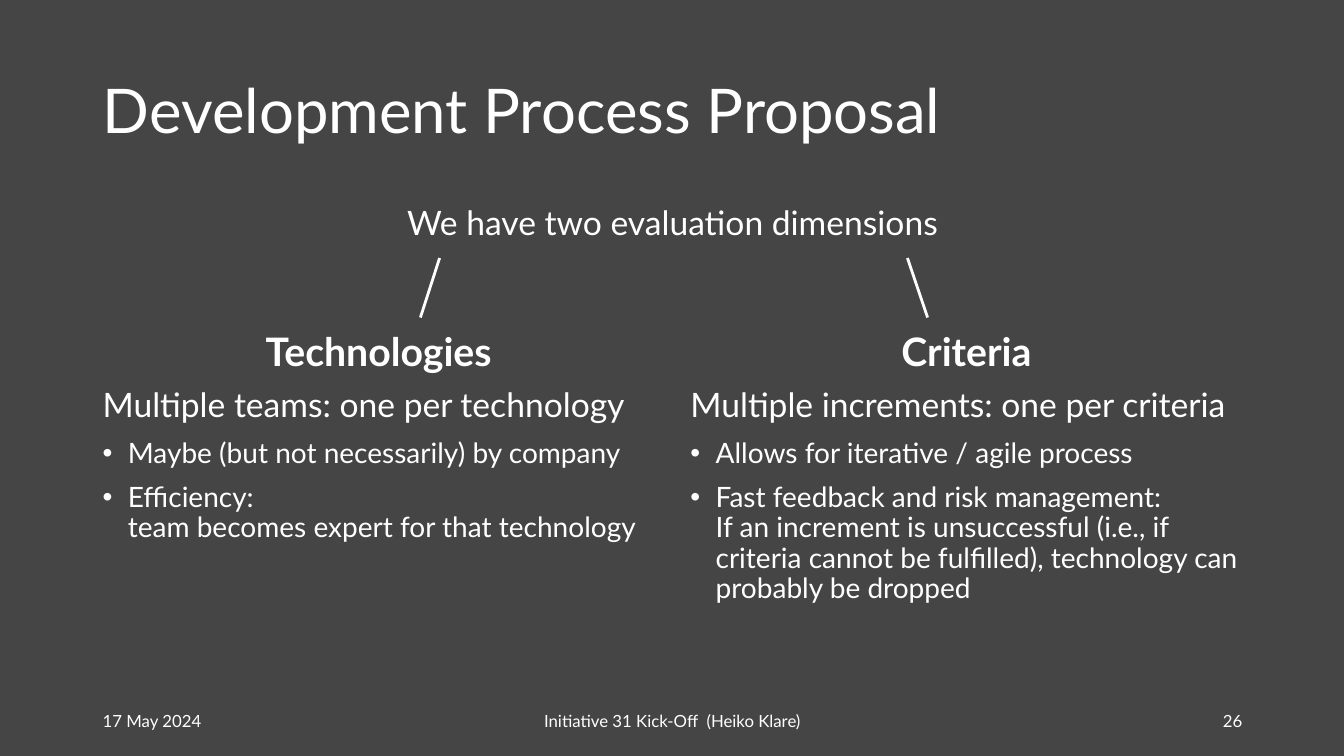
from lxml import etree
from pptx import Presentation
from pptx.dml.color import RGBColor
from pptx.enum.shapes import MSO_CONNECTOR
from pptx.enum.text import MSO_ANCHOR, MSO_AUTO_SIZE, PP_ALIGN
from pptx.oxml.ns import qn
from pptx.util import Inches, Pt

LEFT, CENTER, RIGHT = PP_ALIGN.LEFT, PP_ALIGN.CENTER, PP_ALIGN.RIGHT
TOP, MIDDLE = MSO_ANCHOR.TOP, MSO_ANCHOR.MIDDLE
NO_AUTOFIT = MSO_AUTO_SIZE.NONE
STRAIGHT = MSO_CONNECTOR.STRAIGHT

CHARCOAL = RGBColor(0x45, 0x45, 0x45)
WHITE = RGBColor(0xFF, 0xFF, 0xFF)
FONT = "Lato"

WIDTH, HEIGHT = 13.33, 7.5
MARGIN = 0.92
CONTENT = 11.5
COLUMN = 5.67
GUTTER = CONTENT - 2 * COLUMN
COLUMN_TOP, COLUMN_HEIGHT = 3.25, 3.5
FOOTER_TOP, FOOTER_HEIGHT = 6.95, 0.4
BRANCH_TOP, BRANCH_BOTTOM = 2.56, 3.15
INDENT = 0.25

DIMENSIONS = [
    ("Technologies", "Multiple teams: one per technology",
     ["Maybe (but not necessarily) by company",
      "Efficiency:\nteam becomes expert for that technology"]),
    ("Criteria", "Multiple increments: one per criteria",
     ["Allows for iterative / agile process",
      "Fast feedback and risk management:\nIf an increment is unsuccessful (i.e., if "
      "criteria cannot be fulfilled), technology can probably be dropped"]),
]
FOOTERS = [
    ("17 May 2024", MARGIN, 3, LEFT),
    ("Initiative 31 Kick-Off  (Heiko Klare)", 4.42, 4.5, CENTER),
    ("26", 9.42, 3, RIGHT),
]
BRANCHES = [(4.36, 4.17), (9.0, 9.2)]


def prepare_frame(box, anchor):
    """Make the text frame of a box wrap at a fixed size and return it."""
    frame = box.text_frame
    frame.word_wrap = True
    frame.auto_size = NO_AUTOFIT
    frame.vertical_anchor = anchor
    return frame


def add_frame(page, left, top, width, height, anchor=TOP):
    """Add a text box and return its text frame."""
    box = page.shapes.add_textbox(Inches(left), Inches(top), Inches(width), Inches(height))
    return prepare_frame(box, anchor)


def write(para, text, size, align=LEFT, bold=False, spacing=0.9, before=10):
    """Fill and format one paragraph."""
    para.text = text
    para.alignment = align
    para.line_spacing = spacing
    para.space_before = Pt(before)
    for span in para.runs:
        span.font.name = FONT
        span.font.size = Pt(size)
        span.font.bold = bold
        span.font.color.rgb = WHITE


def add_bullet(para):
    """Give a paragraph a round bullet and a hanging indent."""
    properties = para._p.get_or_add_pPr()
    properties.set("marL", str(Inches(INDENT)))
    properties.set("indent", str(-Inches(INDENT)))
    etree.SubElement(properties, qn("a:buFont")).set("typeface", "Arial")
    etree.SubElement(properties, qn("a:buChar")).set("char", "•")


def add_title(page, text):
    """Place and format the title placeholder."""
    title = page.shapes.title
    title.left, title.top = Inches(MARGIN), Inches(0.4)
    title.width, title.height = Inches(CONTENT), Inches(1.45)
    write(prepare_frame(title, MIDDLE).paragraphs[0], text, 44, before=0)


def add_dimension(page, column, heading, summary, points):
    """Add one column with its heading, summary and bullet points."""
    left = MARGIN + column * (COLUMN + GUTTER)
    frame = add_frame(page, left, COLUMN_TOP, COLUMN, COLUMN_HEIGHT)
    write(frame.paragraphs[0], heading, 28, CENTER, bold=True)
    write(frame.add_paragraph(), summary, 24)
    for point in points:
        para = frame.add_paragraph()
        write(para, point, 20)
        add_bullet(para)


def add_branch(page, upper, lower):
    """Add a line from the introduction down to a column heading."""
    line = page.shapes.add_connector(
        STRAIGHT, Inches(lower), Inches(BRANCH_BOTTOM), Inches(upper), Inches(BRANCH_TOP))
    line.line.color.rgb = WHITE
    line.line.width = Pt(2)
    etree.SubElement(line._element.spPr, qn("a:effectLst"))


def main():
    """Build the slide and save it."""
    deck = Presentation()
    deck.slide_width, deck.slide_height = Inches(WIDTH), Inches(HEIGHT)
    page = deck.slides.add_slide(deck.slide_layouts.get_by_name("Title Only"))
    page.background.fill.solid()
    page.background.fill.fore_color.rgb = CHARCOAL

    add_title(page, "Development Process Proposal")
    intro = add_frame(page, MARGIN, 2, CONTENT, 0.64)
    write(intro.paragraphs[0], "We have two evaluation dimensions", 24, CENTER)
    for column, dimension in enumerate(DIMENSIONS):
        add_dimension(page, column, *dimension)
    for upper, lower in BRANCHES:
        add_branch(page, upper, lower)
    for text, left, width, align in FOOTERS:
        frame = add_frame(page, left, FOOTER_TOP, width, FOOTER_HEIGHT, MIDDLE)
        write(frame.paragraphs[0], text, 12, align, spacing=1.0, before=0)
    deck.save("out.pptx")


if __name__ == "__main__":
    main()
